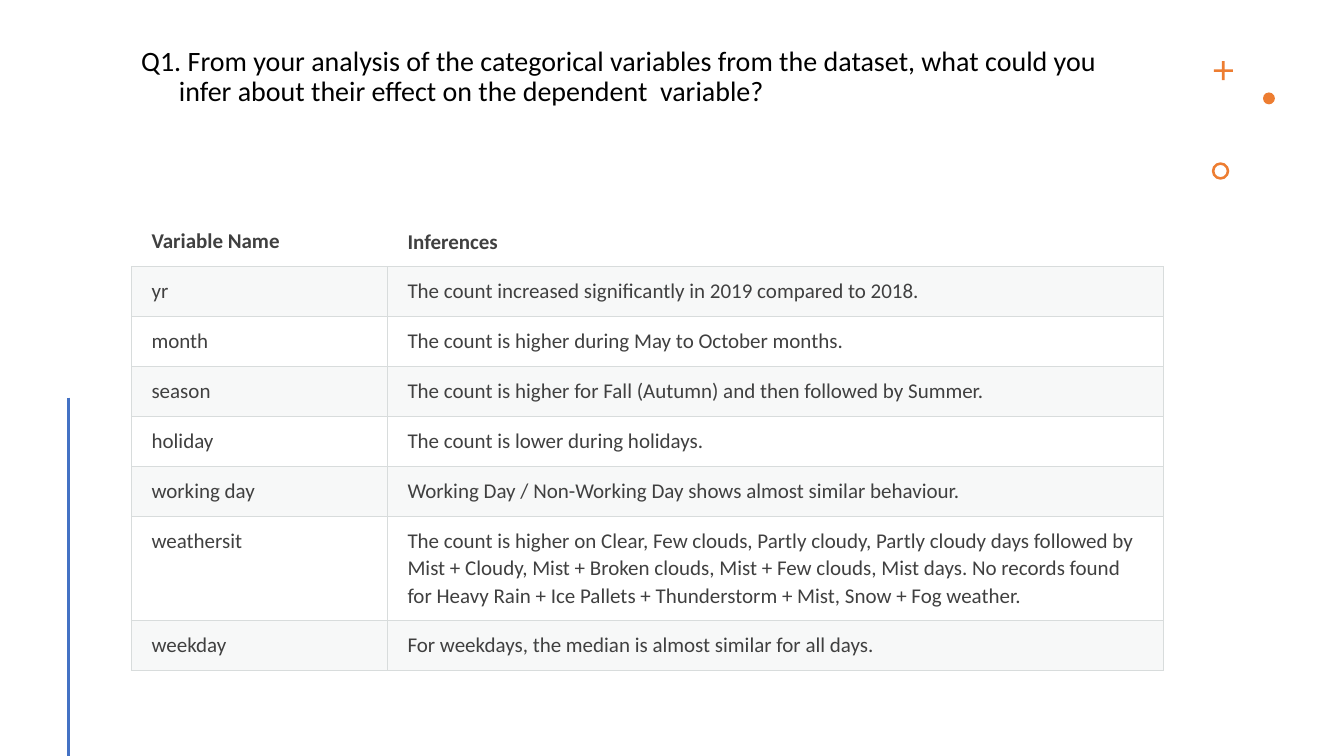
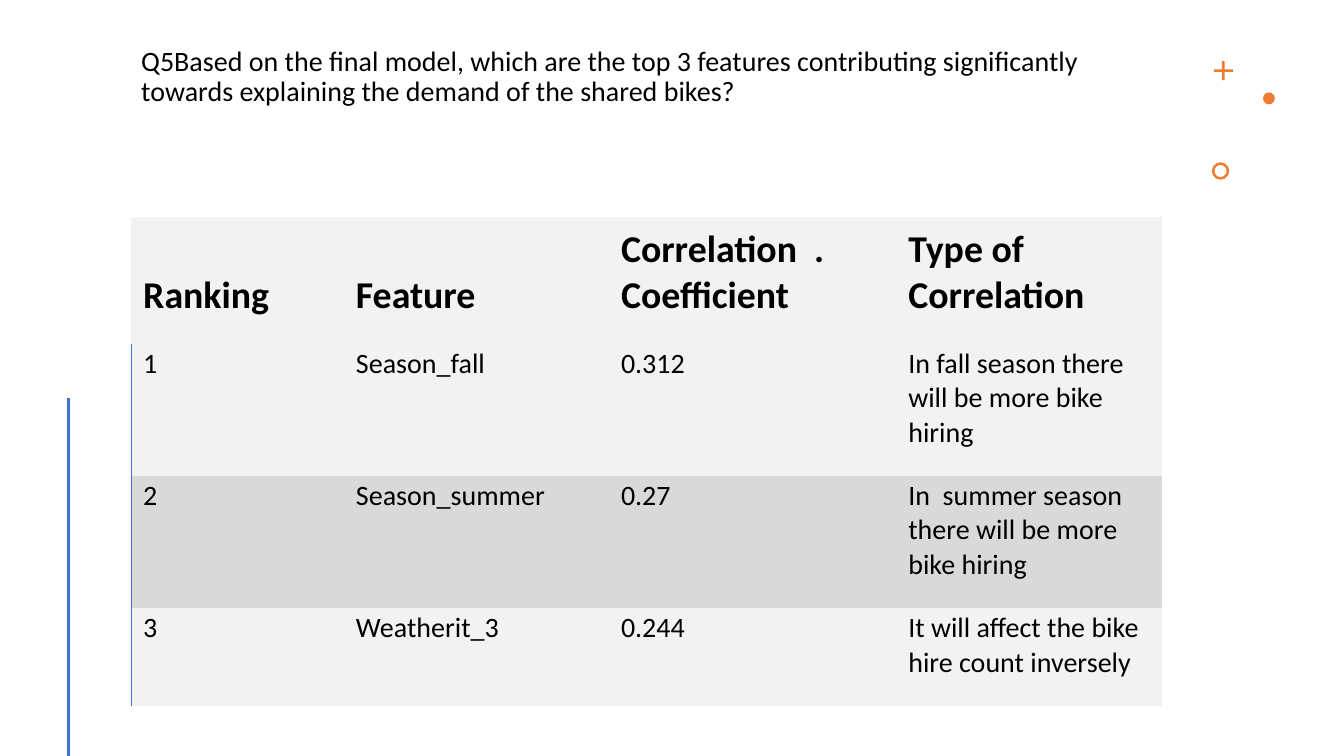
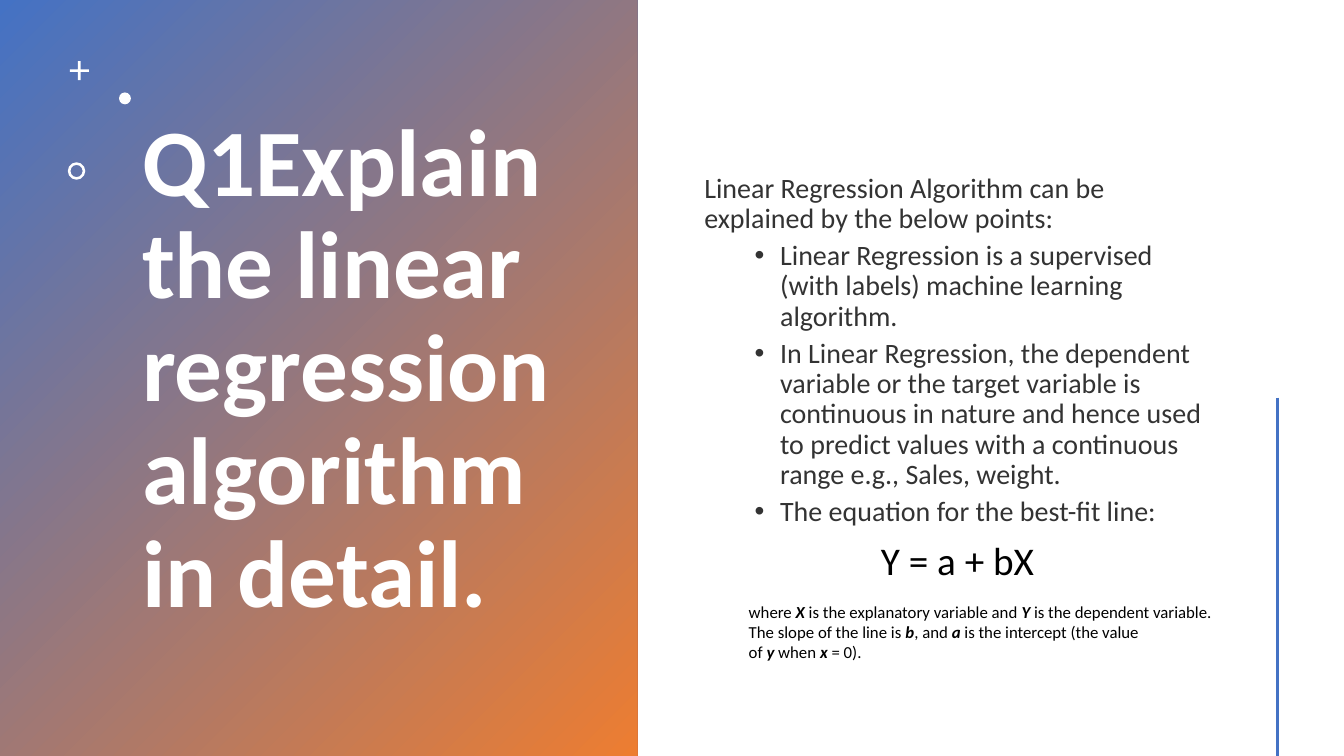
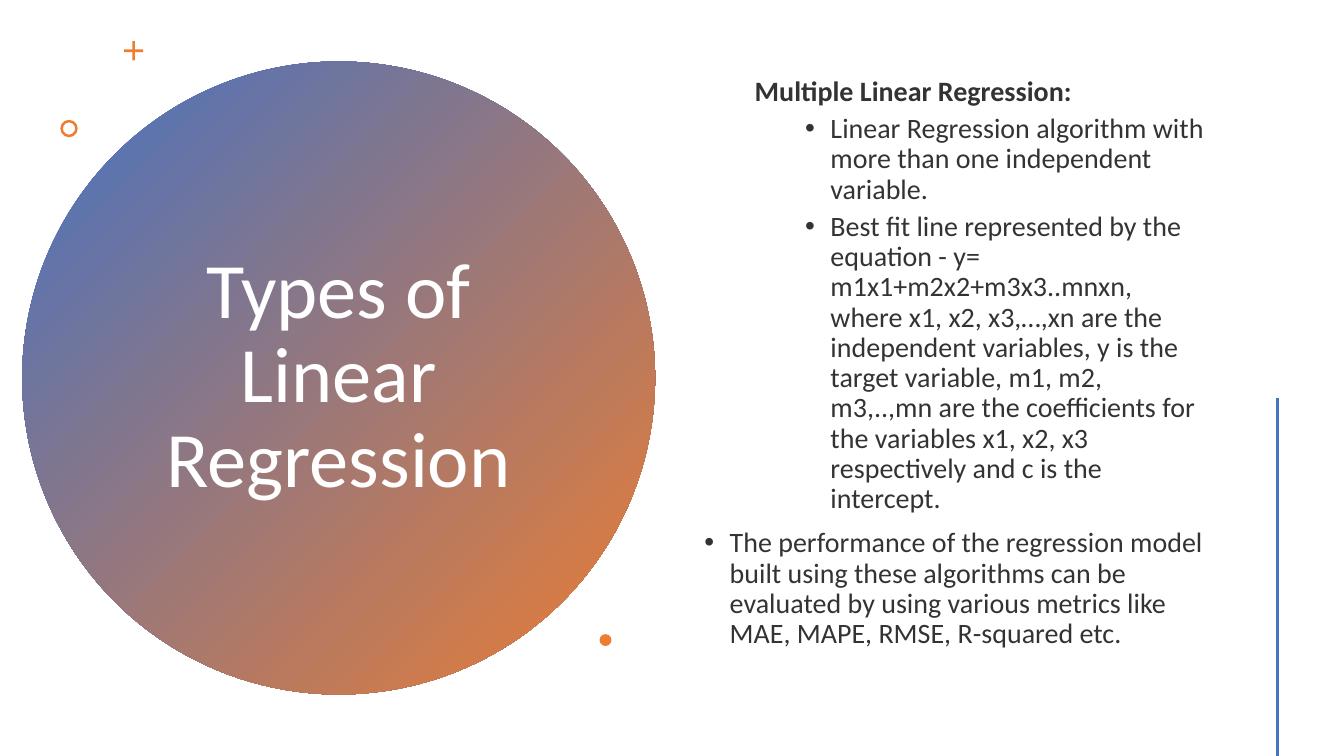
"""Build four slides on linear regression: two tables and two explanations."""
import pptx
import pptx.dml.color
import pptx.enum.shapes
import pptx.enum.text
import pptx.oxml.ns
import pptx.util
from lxml import etree

Cm = pptx.util.Cm
Pt = pptx.util.Pt
RGBColor = pptx.dml.color.RGBColor
SHAPE = pptx.enum.shapes.MSO_SHAPE
ANCHOR = pptx.enum.text.MSO_ANCHOR
ALIGN = pptx.enum.text.PP_ALIGN
qn = pptx.oxml.ns.qn

BLACK = RGBColor(0x00, 0x00, 0x00)
WHITE = RGBColor(0xFF, 0xFF, 0xFF)
BLUE = RGBColor(0x44, 0x72, 0xC4)
ORANGE = RGBColor(0xED, 0x7D, 0x31)
BODY_TEXT = RGBColor(0x33, 0x33, 0x33)
TABLE_TEXT = RGBColor(0x40, 0x40, 0x40)
GRID = RGBColor(0xD8, 0xDC, 0xDC)
PALE = RGBColor(0xF7, 0xF8, 0xF8)
LIGHT = RGBColor(0xF2, 0xF2, 0xF2)
MIDDLE = RGBColor(0xD9, 0xD9, 0xD9)

FONT = "Calibri"
HARD_SPACE = chr(160)
PLAIN_TABLE = "{2D5ABB26-0587-4C30-8999-92F81FD0307C}"
SLIDE_WIDTH, SLIDE_HEIGHT = 33.87, 19.05
RULE_LEFT, RULE_RIGHT = 1.73, 32.19
TABLE_LEFT, TABLE_TOP = 3.31, 5.46
TITLE_BOX = (TABLE_LEFT, 1.07, 25.98, 3.33)
BODY_BOX = (17.5, 1.45, 13.26, 16.2)
HANGING = 0.64

MARKERS = {
    "plus": (SHAPE.CROSS, 0.48, 0.43),
    "dot": (SHAPE.OVAL, 0.3, None),
    "ring": (SHAPE.DONUT, 0.44, 0.15),
}
RIGHT_CLUSTER = {"plus": (30.59, 1.54), "dot": (31.83, 2.33), "ring": (30.54, 4.09)}
LEFT_CLUSTER = {name: (x - 28.83, y) for name, (x, y) in RIGHT_CLUSTER.items()}
CIRCLE_CLUSTER = {"plus": (3.13, 1.04), "dot": (15.11, 15.98), "ring": (1.52, 3.02)}

INFERENCE_TITLE = (
    "Q1. From your analysis of the categorical variables from the dataset, "
    "what could you infer about their effect on the dependent  variable?"
)
INFERENCES = [
    ("Variable Name", "Inferences"),
    ("yr", "The count increased significantly in 2019 compared to 2018."),
    ("month", "The count is higher during May to October months."),
    ("season", "The count is higher for Fall (Autumn) and then followed by Summer."),
    ("holiday", "The count is lower during holidays."),
    ("working day", "Working Day / Non-Working Day shows almost similar behaviour."),
    ("weathersit", "The count is higher on Clear, Few clouds, Partly cloudy, Partly cloudy "
     "days followed by Mist + Cloudy, Mist + Broken clouds, Mist + Few clouds, Mist days. "
     "No records found for Heavy Rain + Ice Pallets + Thunderstorm + Mist, Snow + Fog weather."),
    ("weekday", "For weekdays, the median is almost similar for all days."),
]
FEATURE_TITLE = (
    "Q5Based on the final model, which are the top 3 features contributing "
    "significantly towards explaining the demand of the shared bikes?"
)
FEATURES = [
    ("Ranking", "Feature", "Correlation  . Coefficient", "Type of Correlation"),
    ("1", "Season_fall", "0.312", "In fall season there will be more bike hiring"),
    ("2", "Season_summer", "0.27", "In  summer season there will be more bike hiring"),
    ("3", "Weatherit_3", "0.244", "It will affect the bike hire count inversely"),
]
ALGORITHM_TITLE = "Q1Explain the linear regression algorithm in detail."
ALGORITHM_POINTS = [
    ("Linear Regression Algorithm can be explained by the below points:", {"before": 10}),
    ("Linear Regression is a supervised (with labels) machine learning algorithm.",
     {"left": 1.91, "bullet": True}),
    ("In Linear Regression, the dependent variable or the target variable is continuous in "
     "nature and hence used to predict values with a continuous range e.g., Sales, weight.",
     {"left": 1.91, "bullet": True}),
    ("The equation for the best-fit line:", {"left": 1.91, "bullet": True}),
    ("Y = a + bX", {"before": 10, "size": 28, "color": BLACK, "align": ALIGN.CENTER}),
]
EQUATION_NOTE = [
    f"where{HARD_SPACE}", "X", f"{HARD_SPACE}is the explanatory variable and{HARD_SPACE}", "Y",
    f"{HARD_SPACE}is the dependent variable. The slope of the line is{HARD_SPACE}", "b",
    f", and{HARD_SPACE}", "a", f"{HARD_SPACE}is the intercept (the value of{HARD_SPACE}", "y",
    f"{HARD_SPACE}when{HARD_SPACE}", "x", f"{HARD_SPACE}= 0).",
]
TYPES_TITLE = "Types of Linear Regression"
TYPES_POINTS = [
    ("Multiple Linear Regression:", {"left": 1.27, "bold": True}),
    ("Linear Regression algorithm with more than one independent variable.",
     {"left": 3.18, "bullet": True}),
    ("Best fit line represented by the equation - y= m1x1+m2x2+m3x3..mnxn, where x1, x2, "
     "x3,…,xn are the independent variables, y is the target variable, m1, m2, m3,..,mn are "
     "the coefficients for the variables x1, x2, x3 respectively and c is the intercept.",
     {"left": 3.18, "bullet": True}),
    ("The performance of the regression model built using these algorithms can be evaluated "
     "by using various metrics like MAE, MAPE, RMSE, R-squared etc.",
     {"left": HANGING, "bullet": True, "before": 10}),
]


def add_run(paragraph, text, size, color, bold=False, italic=False):
    run = paragraph.add_run()
    run.text = text
    run.font.name = FONT
    run.font.size = Pt(size)
    run.font.color.rgb = color
    run.font.bold = bold
    run.font.italic = italic


def indent(paragraph, left, first, bullet=False):
    properties = paragraph._p.get_or_add_pPr()
    properties.set("marL", str(Cm(left)))
    properties.set("indent", str(Cm(first)))
    if bullet:
        etree.SubElement(properties, qn("a:buFont"), typeface="Arial")
        etree.SubElement(properties, qn("a:buChar"), char="•")


def add_text_box(slide, box, anchor=ANCHOR.TOP):
    frame = slide.shapes.add_textbox(*map(Cm, box)).text_frame
    frame.word_wrap = True
    frame.vertical_anchor = anchor
    return frame


def add_title(slide, text, size=20, color=BLACK, bold=False, box=TITLE_BOX,
              anchor=ANCHOR.TOP, align=ALIGN.LEFT):
    frame = add_text_box(slide, box, anchor)
    paragraph = frame.paragraphs[0]
    paragraph.line_spacing = 0.9
    paragraph.alignment = align
    add_run(paragraph, text, size, color, bold)
    return frame


def add_body(slide, points):
    frame = add_text_box(slide, BODY_BOX, ANCHOR.MIDDLE)
    for index, (text, style) in enumerate(points):
        paragraph = frame.add_paragraph() if index else frame.paragraphs[0]
        paragraph.line_spacing = 0.9
        paragraph.space_before = Pt(style.get("before", 5))
        paragraph.alignment = style.get("align", ALIGN.LEFT)
        bullet = style.get("bullet", False)
        indent(paragraph, style.get("left", 0), -HANGING if bullet else 0, bullet)
        add_run(paragraph, text, style.get("size", 20), style.get("color", BODY_TEXT),
                style.get("bold", False))
    return frame


def add_plain_shape(slide, kind, left, top, width, height):
    shape = slide.shapes.add_shape(kind, Cm(left), Cm(top), Cm(width), Cm(height))
    shape.shadow.inherit = False
    shape.line.fill.background()
    return shape


def add_gradient_shape(slide, kind, *box):
    fill = add_plain_shape(slide, kind, *box).fill
    fill.gradient()
    fill.gradient_angle = 315
    for stop, color in zip(fill.gradient_stops, (BLUE, ORANGE)):
        stop.color.rgb = color


def add_decoration(slide, cluster, color, rule_x):
    for name, (left, top) in cluster.items():
        kind, size, adjustment = MARKERS[name]
        marker = add_plain_shape(slide, kind, left, top, size, size)
        marker.fill.solid()
        marker.fill.fore_color.rgb = color
        if adjustment is not None:
            marker.adjustments[0] = adjustment
    rule = slide.shapes.add_connector(pptx.enum.shapes.MSO_CONNECTOR.STRAIGHT,
                                      Cm(rule_x), Cm(10.02), Cm(rule_x), Cm(19.04))
    rule.line.color.rgb = BLUE
    rule.line.width = Pt(2)
    etree.SubElement(rule._element.spPr, qn("a:effectLst"))


def add_border(cell, side, color, width):
    line = etree.SubElement(cell._tc.get_or_add_tcPr(), qn("a:ln" + side),
                            w=str(Pt(width)))
    fill = etree.SubElement(line, qn("a:solidFill"))
    etree.SubElement(fill, qn("a:srgbClr"), val=str(color))


def add_table(slide, rows, widths, heights, style_cell):
    frame = slide.shapes.add_table(len(rows), len(widths), Cm(TABLE_LEFT), Cm(TABLE_TOP),
                                   Cm(sum(widths)), Cm(sum(heights)))
    table = frame.table
    table.first_row = table.horz_banding = False
    table._tbl.tblPr.find(qn("a:tableStyleId")).text = PLAIN_TABLE
    for column, width in zip(table.columns, widths):
        column.width = Cm(width)
    for row, height in zip(table.rows, heights):
        row.height = Cm(height)
    for row_index, texts in enumerate(rows):
        for column_index, text in enumerate(texts):
            style_cell(table.cell(row_index, column_index), text, row_index, column_index)


def set_margins(cell, left, top, right, bottom):
    cell.margin_left, cell.margin_top = Cm(left), Cm(top)
    cell.margin_right, cell.margin_bottom = Cm(right), Cm(bottom)


def style_inference(cell, text, row, column):
    set_margins(cell, 0.51, 0.25, 0.38, 0.25)
    for side in "LRTB" if row else "B":
        add_border(cell, side, GRID, 0.75)
    if row % 2:
        cell.fill.solid()
        cell.fill.fore_color.rgb = PALE
    else:
        cell.fill.background()
    cell.vertical_anchor = ANCHOR.TOP if row else ANCHOR.MIDDLE
    paragraph = cell.text_frame.paragraphs[0]
    paragraph.line_spacing = 1.07 if row or column else 1.0
    add_run(paragraph, text, 15, TABLE_TEXT, row == 0)


def style_feature(cell, text, row, column):
    set_margins(cell, 0.3, 0.08, 0.43, 0.64)
    if row and column == 0:
        add_border(cell, "L", BLUE, 1)
    cell.fill.solid()
    cell.fill.fore_color.rgb = MIDDLE if row == 2 else LIGHT
    cell.vertical_anchor = ANCHOR.TOP if row else ANCHOR.BOTTOM
    add_run(cell.text_frame.paragraphs[0], text, 20 if row else 27, BLACK, row == 0)


def build_inferences(slide):
    frame = add_title(slide, INFERENCE_TITLE)
    frame.margin_right = Cm(0.75)
    indent(frame.paragraphs[0], 0.95, -0.95)
    add_decoration(slide, RIGHT_CLUSTER, ORANGE, RULE_LEFT)
    heights = [2.62 if row[0] == "weathersit" else 1.26 for row in INFERENCES]
    add_table(slide, INFERENCES, (6.45, 19.55), heights, style_inference)


def build_features(slide):
    add_title(slide, FEATURE_TITLE)
    add_decoration(slide, RIGHT_CLUSTER, ORANGE, RULE_LEFT)
    add_table(slide, FEATURES, (5.36, 6.68, 7.24, 6.7), (3.2, 3.33, 3.33, 2.46),
              style_feature)


def build_algorithm(slide):
    add_gradient_shape(slide, SHAPE.RECTANGLE, 0, 0, 16.06, SLIDE_HEIGHT)
    add_title(slide, ALGORITHM_TITLE, 68, WHITE, True, (3.33, 1.05, 11.13, 16.59),
              ANCHOR.MIDDLE)
    add_decoration(slide, LEFT_CLUSTER, WHITE, RULE_RIGHT)
    add_body(slide, ALGORITHM_POINTS)
    note = add_text_box(slide, (18.62, 15.04, 12.7, 1.8))
    note.margin_right = Cm(0.45)
    for index, text in enumerate(EQUATION_NOTE):
        symbol = index % 2 == 1
        add_run(note.paragraphs[0], text, 12, BLACK, symbol, symbol)


def build_types(slide):
    add_gradient_shape(slide, SHAPE.OVAL, 0.56, 1.55, 15.95, 15.95)
    add_title(slide, TYPES_TITLE, 56, WHITE, box=(3.47, 3.58, 10.13, 11.86),
              anchor=ANCHOR.MIDDLE, align=ALIGN.CENTER)
    add_decoration(slide, CIRCLE_CLUSTER, ORANGE, RULE_RIGHT)
    frame = add_body(slide, TYPES_POINTS)
    frame.margin_right = Cm(0.35)
    frame.margin_bottom = Cm(0.91)


def main():
    presentation = pptx.Presentation()
    presentation.slide_width = Cm(SLIDE_WIDTH)
    presentation.slide_height = Cm(SLIDE_HEIGHT)
    for build in (build_inferences, build_features, build_algorithm, build_types):
        build(presentation.slides.add_slide(presentation.slide_layouts[6]))
    presentation.save("out.pptx")


if __name__ == "__main__":
    main()
